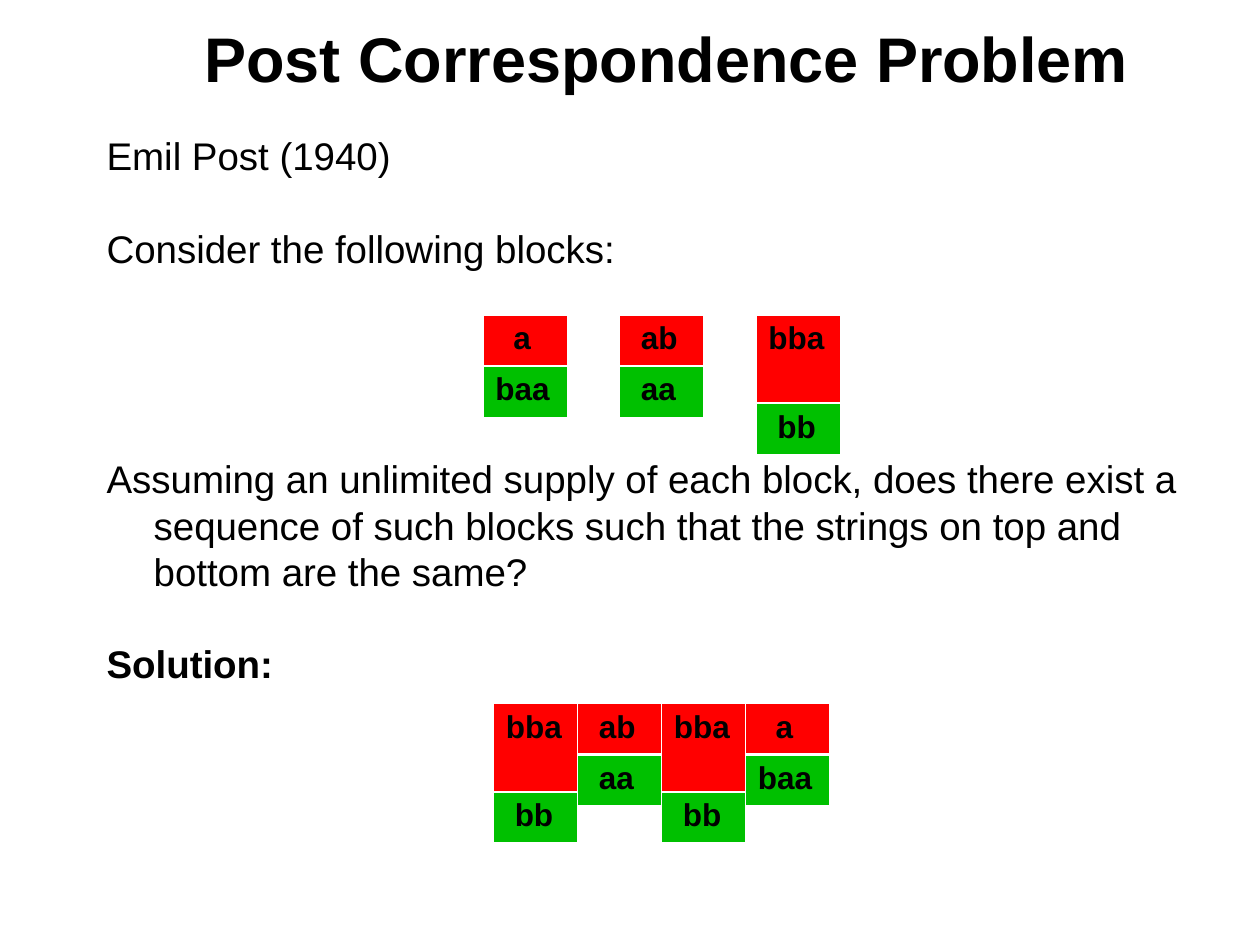
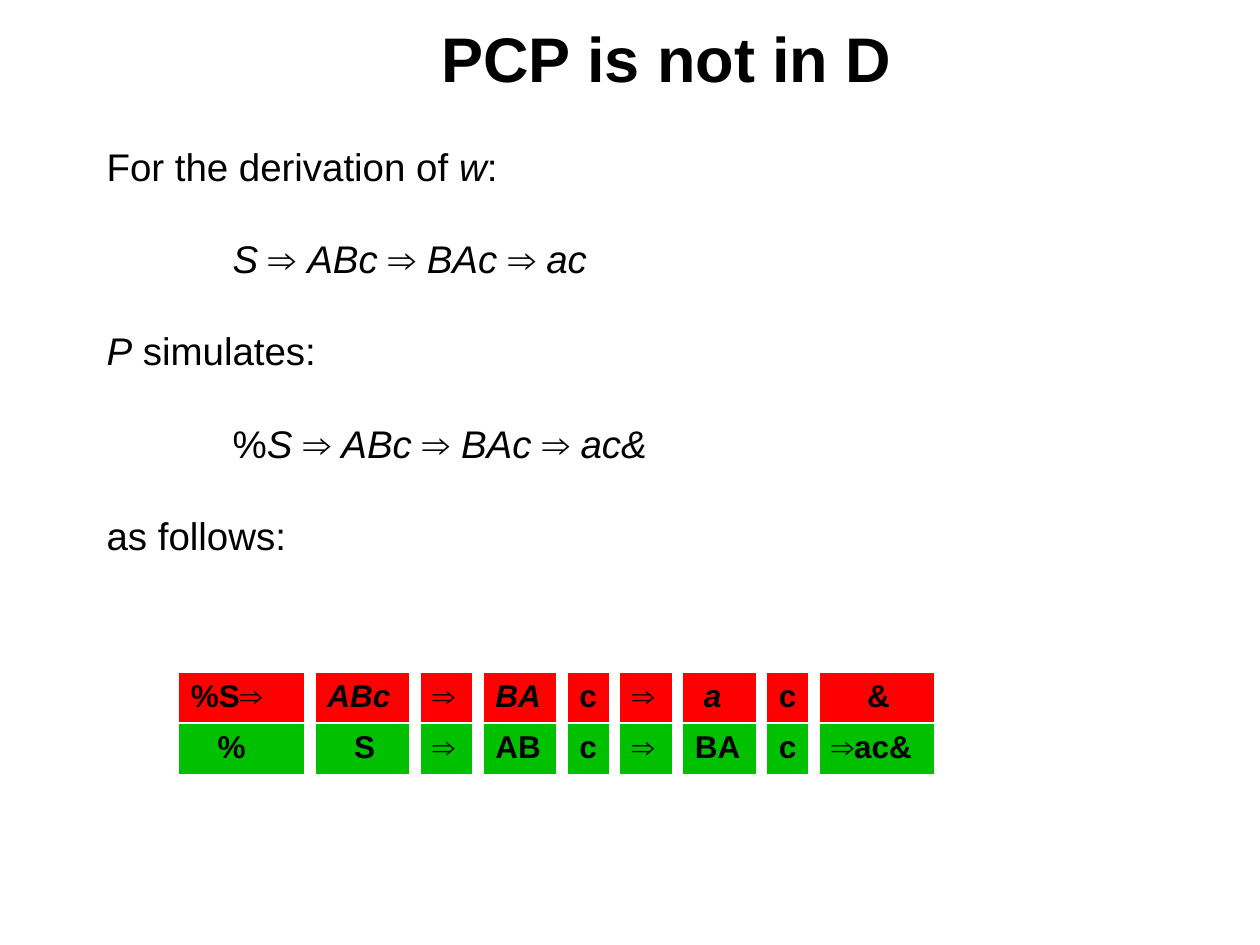
from dataclasses import dataclass

from lxml.etree import SubElement
from pptx import Presentation
from pptx.dml.color import RGBColor
from pptx.enum.text import MSO_ANCHOR, MSO_AUTO_SIZE, PP_ALIGN
from pptx.oxml.ns import qn
from pptx.util import Cm, Pt

FONT = "Arial"
BLACK, WHITE, RED, GREEN = "000000", "FFFFFF", "FF0000", "00C000"
UNIT = Cm(2.54) // 12
SHORT, TALL = Cm(1.03), Cm(1.78)
INSET, SPACE = Cm(0.25), Cm(0.18)
PITCH = 26.4


@dataclass(frozen=True)
class Line:
    text: str
    skip: int = 1
    left: float = 0
    hang: float = 0
    bold: bool = False


@dataclass(frozen=True)
class Block:
    top: str
    low: str
    width: int = 8
    shift: tuple[int, int] = (0, 0)
    high: bool = False


def paint(target, tint: str) -> None:
    target.rgb = RGBColor.from_string(tint)


def write(para, text: str, size: float, bold: bool = False) -> None:
    for index, part in enumerate(text.split("_")):
        if part:
            run = para.add_run()
            run.text = part
            if index % 2:
                run.font.italic = True
    font = para.font
    font.name, font.size, font.bold = FONT, Pt(size), bold
    paint(font.color, BLACK)


def start(deck, title: str):
    slide = deck.slides.add_slide(deck.slide_layouts[5])
    shape = slide.shapes.title
    shape.left, shape.top = Cm(1.48), Cm(0.2)
    shape.width, shape.height = Cm(23.92), Cm(1.9)
    frame = shape.text_frame
    frame.auto_size = MSO_AUTO_SIZE.NONE
    frame.vertical_anchor = MSO_ANCHOR.MIDDLE
    para = frame.paragraphs[0]
    para.alignment = PP_ALIGN.CENTER
    write(para, title, 36, True)
    return slide


def body(slide, top: float, width: float, height: float, lines: list[Line]) -> None:
    box = slide.shapes.add_textbox(Cm(1.9), Cm(top), Cm(width), Cm(height))
    frame = box.text_frame
    frame.word_wrap = True
    for index, line in enumerate(lines):
        para = frame.add_paragraph() if index else frame.paragraphs[0]
        para.line_spacing = Pt(PITCH)
        if index:
            para.space_before = Pt(PITCH * line.skip)
        props = para._p.get_or_add_pPr()
        props.set("marL", str(Cm(line.left)))
        props.set("indent", str(-Cm(line.hang)))
        write(para, line.text, 22, line.bold)


def border(cell, heavy: str) -> None:
    props = cell._tc.get_or_add_tcPr()
    for side in "LRTB":
        width = Pt(1.5 if side == heavy else 0.45)
        edge = SubElement(props, qn(f"a:ln{side}"), w=str(width))
        fill = SubElement(edge, qn("a:solidFill"))
        SubElement(fill, qn("a:srgbClr"), val=WHITE)


def draw(slide, left: int, top: int, block: Block) -> None:
    heights = (TALL if block.high else SHORT, SHORT)
    width = block.width * UNIT
    table = slide.shapes.add_table(2, 1, left, top, width, sum(heights)).table
    table.first_row = table.horz_banding = False
    table.columns[0].width = width
    rows = zip(heights, (block.top, block.low), block.shift, (RED, GREEN), "BT")
    for index, (height, text, shift, tint, heavy) in enumerate(rows):
        table.rows[index].height = height
        cell = table.cell(index, 0)
        border(cell, heavy)
        cell.fill.solid()
        paint(cell.fill.fore_color, tint)
        cell.margin_left = INSET + shift * SPACE
        cell.margin_right = 0
        write(cell.text_frame.paragraphs[0], text, 18, True)


def chain(slide, left: int, top: float, gap: int, blocks: list[Block]) -> None:
    for block in blocks:
        draw(slide, left * UNIT, Cm(top), block)
        left += block.width + gap


def main() -> None:
    deck = Presentation()
    deck.slide_width, deck.slide_height = Cm(25.4), Cm(19.05)

    slide = start(deck, "Post Correspondence Problem")
    hang = 0.95
    body(slide, 2.54, 23.06, 11.43, [
        Line("Emil Post (1940)", 0, hang, hang),
        Line("Consider the following blocks:", 1, hang, hang),
        Line("Assuming an unlimited supply of each block, does there exist a "
             "sequence of such blocks such that the strings on top and "
             "bottom are the same?", 4, hang, hang),
        Line("Solution:", 1, hang, hang, True),
    ])
    one = Block("a", "baa", shift=(2, 0))
    two = Block("ab", "aa", shift=(1, 1))
    three = Block("bba", "bb", shift=(0, 1), high=True)
    chain(slide, 46, 6.35, 5, [one, two, three])
    chain(slide, 47, 14.18, 0, [three, two, three, one])

    slide = start(deck, "PCP is not in D")
    body(slide, 2.75, 22.44, 8.64, [
        Line("For the derivation of _w_:"),
        Line("_S_ ⇒ _ABc_ ⇒ _BAc_ ⇒ _ac_", left=2.54),
        Line("_P_ simulates:"),
        Line("%_S_ ⇒ _ABc_ ⇒ _BAc_ ⇒ _ac&_", left=2.54),
        Line("as follows:"),
    ])
    arrow = Block("⇒", "⇒", 5)
    same = Block("c", "c", 4)
    chain(slide, 17, 13.55, 1, [
        Block("%S⇒", "%", 12, (0, 3)),
        Block("_ABc_", "S", 9, (0, 3)),
        arrow,
        Block("_BA_", "AB", 7),
        same,
        arrow,
        Block("_a_", "BA", 7, (1, 0)),
        same,
        Block("&", "⇒ac&", 11, (4, 0)),
    ])
    deck.save("out.pptx")


if __name__ == "__main__":
    main()
